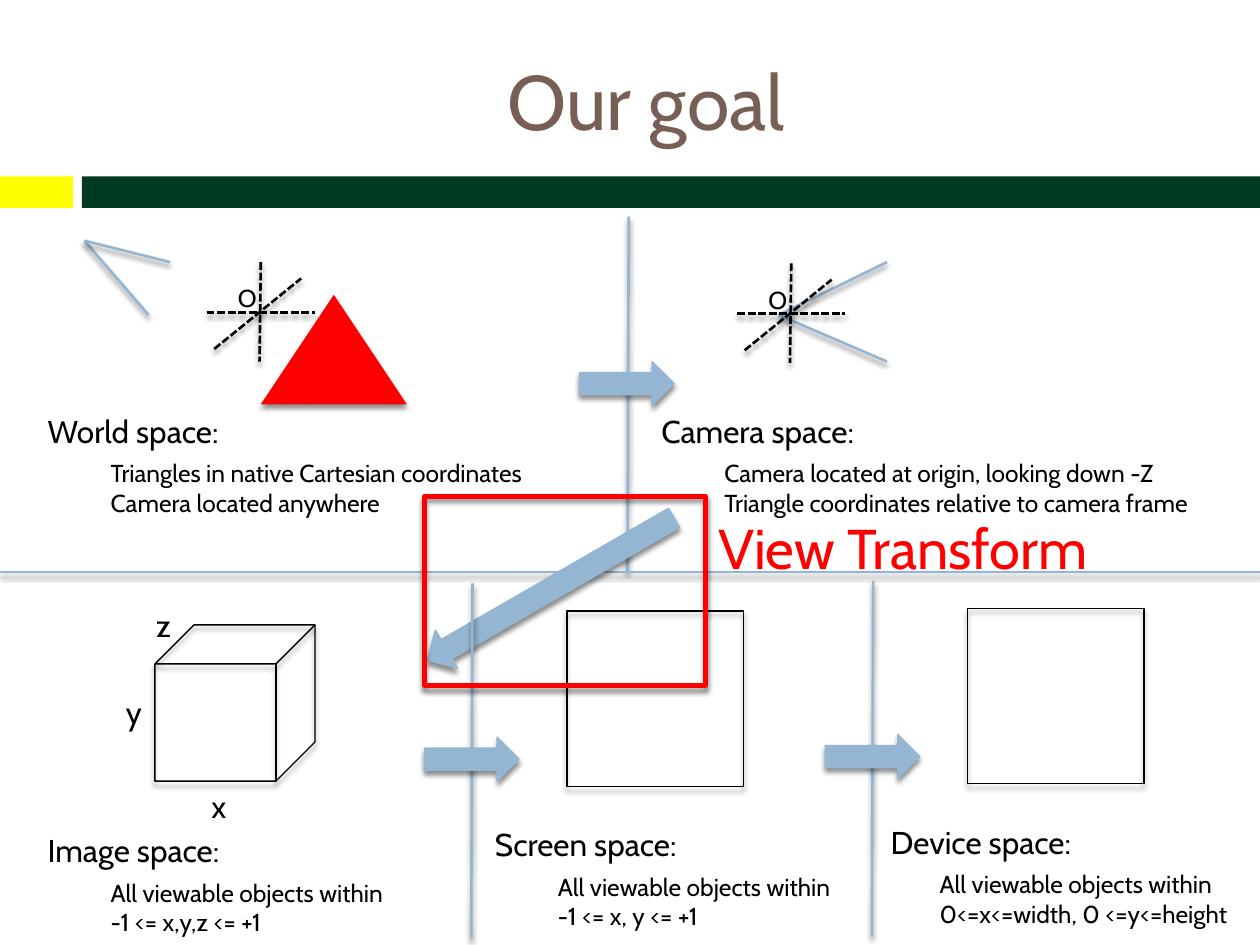
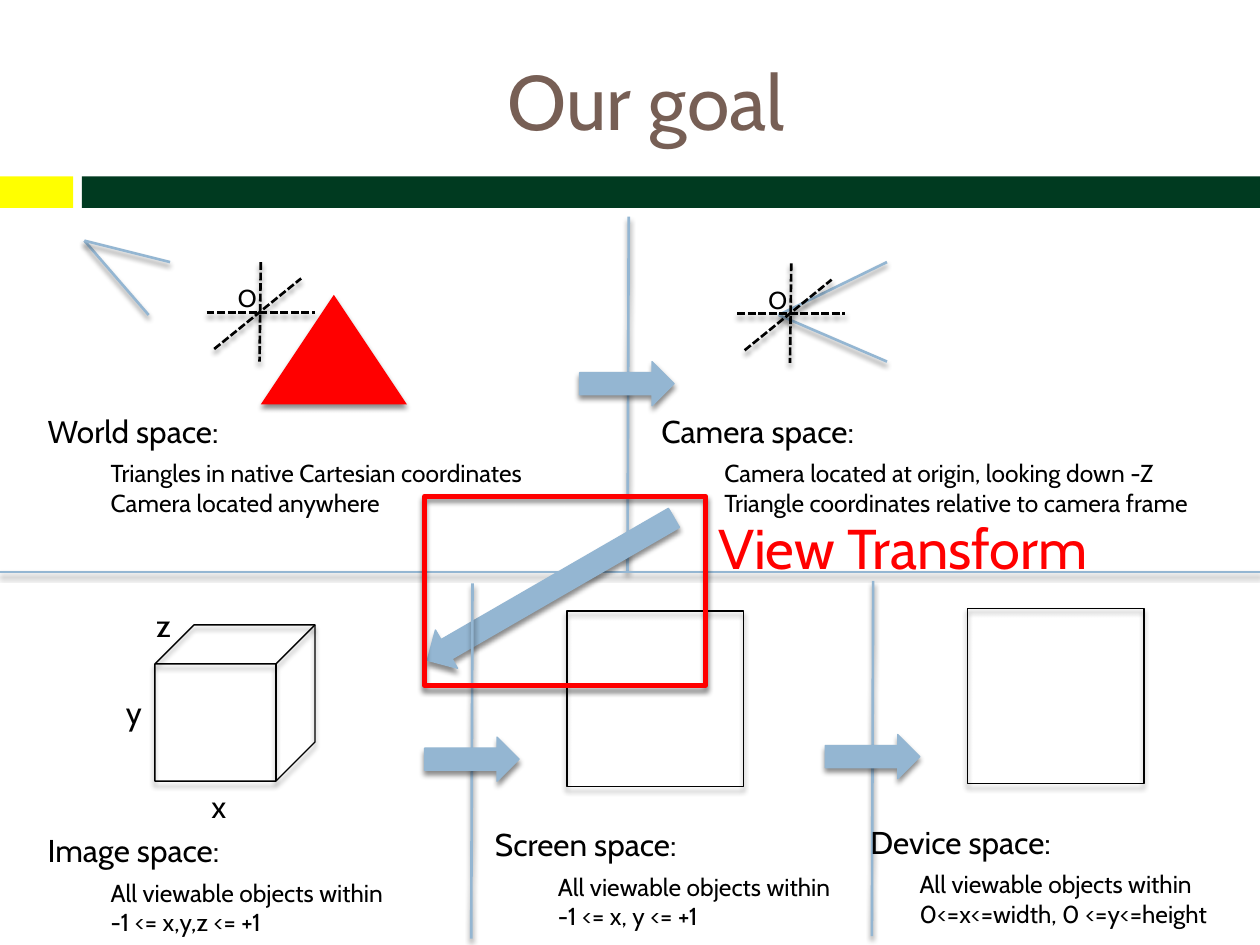
from lxml.etree import SubElement
from pptx import Presentation
from pptx.dml.color import RGBColor
from pptx.enum.dml import MSO_LINE_DASH_STYLE as Dash
from pptx.enum.shapes import MSO_CONNECTOR as Connector, MSO_SHAPE as Shape
from pptx.enum.text import MSO_ANCHOR as Anchor, PP_ALIGN as Align
from pptx.oxml.ns import qn
from pptx.util import Inches, Pt

FONT = "Cabin"
BLACK = RGBColor(0x00, 0x00, 0x00)
BLUE = RGBColor(0x94, 0xB6, 0xD2)
BROWN = RGBColor(0x77, 0x5F, 0x55)
GREEN = RGBColor(0x00, 0x3A, 0x20)
RED = RGBColor(0xFF, 0x00, 0x00)
YELLOW = RGBColor(0xFF, 0xFF, 0x00)

TITLE = "Our goal"
BANDS = [((0, 1.4, 0.58, 0.25), YELLOW), ((0.65, 1.4, 9.35, 0.25), GREEN)]

WORLD = ("World space:", "Triangles in native Cartesian coordinates", "Camera located anywhere")
CAMERA = ("Camera space:", "Camera located at origin, looking down -Z",
          "Triangle coordinates relative to camera frame")
IMAGE = ("Image space:", "All viewable objects within", "-1 <= x,y,z <= +1")
SCREEN = ("Screen space:", "All viewable objects within", "-1 <= x, y <= +1")
DEVICE = ("Device space:", "All viewable objects within", "0<=x<=width, 0 <=y<=height")
HIGHLIGHT = "View Transform"

# Each slide places the device caption in its own box: left, width
DEVICE_CAPTIONS = [(6.86, 3.18), (6.7, 3.33)]
DEVICE_HEADING_INDENT = 0.11

# Lines are (x1, y1, x2, y2)
WORLD_VIEW = [(0.67, 1.91, 1.18, 2.5), (0.67, 1.91, 1.35, 2.08)]
CAMERA_VIEW = [(6.18, 2.5, 7.04, 2.87), (6.18, 2.5, 7.04, 2.08)]
AXES = [(2.07, 2.08, 2.06, 2.87), (1.64, 2.48, 2.5, 2.48), (1.7, 2.77, 2.39, 2.21)]
ORIGIN_LABEL = (1.79, 2.2, 0.35, 0.34)
CAMERA_AXES_SHIFT = (4.21, 0.01)
CUBE_LABELS = {"x": (1.58, 6.2), "y": (0.9, 5.45), "z": (1.14, 4.76)}
DEVICE_SHIFT = (3.18, -0.02)
ARROW_SIZE = (0.75, 0.35)


def cast_shadow(item):
    """Replace the theme's effect with a soft shadow straight below."""
    effects = SubElement(item.element.spPr, qn("a:effectLst"))
    shadow = SubElement(effects, qn("a:outerShdw"), blurRad=str(Pt(3)), dist=str(Pt(2.4)),
                        dir="5400000", rotWithShape="0")
    color = SubElement(shadow, qn("a:srgbClr"), val="000000")
    SubElement(color, qn("a:alpha"), val="45000")


def add_line(slide, ends, color=BLUE, dash=None):
    line = slide.shapes.add_connector(Connector.STRAIGHT, *map(Inches, ends))
    line.line.color.rgb = color
    line.line.width = Pt(1.5)
    if dash:
        line.line.dash_style = dash
    cast_shadow(line)


def add_figure(slide, kind, box, fill=None, outline=None, weight=0.79, shadow=True, angle=0):
    figure = slide.shapes.add_shape(kind, *map(Inches, box))
    figure.rotation = angle
    if fill is None:
        figure.fill.background()
    else:
        figure.fill.solid()
        figure.fill.fore_color.rgb = fill
    if outline is None:
        figure.line.fill.background()
    else:
        figure.line.color.rgb = outline
        figure.line.width = Pt(weight)
    if shadow:
        cast_shadow(figure)
    else:
        figure.shadow.inherit = False


def set_font(paragraph, size, color):
    paragraph.font.name = FONT
    paragraph.font.size = Pt(size)
    paragraph.font.color.rgb = color


def add_label(slide, text, box, size, color=BLACK, wrap=True):
    frame = slide.shapes.add_textbox(*map(Inches, box)).text_frame
    frame.word_wrap = wrap
    frame.text = text
    set_font(frame.paragraphs[0], size, color)
    return frame


def add_caption(slide, lines, left, top, width, heading_indent=0):
    """Write a heading with its indented details below."""
    heading, *details = lines
    frame = add_label(slide, heading, (left, top, width, 0.94), 18)
    frame.paragraphs[0]._p.get_or_add_pPr().set("marL", str(Inches(heading_indent)))
    for i, detail in enumerate(details):
        paragraph = frame.add_paragraph()
        paragraph.text = detail
        paragraph._p.get_or_add_pPr().set("marL", str(Inches(0.5)))
        paragraph.space_before = Pt(0 if i else 5)
        set_font(paragraph, 14, BLACK)


def add_arrow(slide, left, top, size=ARROW_SIZE, angle=0):
    add_figure(slide, Shape.RIGHT_ARROW, (left, top, *size), BLUE, BLUE, angle=angle)


def add_axes(slide, dx=0, dy=0):
    for x1, y1, x2, y2 in AXES:
        add_line(slide, (x1 + dx, y1 + dy, x2 + dx, y2 + dy), BLACK, Dash.SQUARE_DOT)
    left, top, width, height = ORIGIN_LABEL
    add_label(slide, "O", (left + dx, top + dy, width, height), 14, wrap=False)


def add_flat_space(slide, dx=0, dy=0):
    """Draw the divider, arrow and square that screen and device space share."""
    add_line(slide, (3.75 + dx, 4.63 + dy, 3.74 + dx, 7.45 + dy))
    add_arrow(slide, 3.37 + dx, 5.85 + dy)
    add_figure(slide, Shape.RECTANGLE, (4.5 + dx, 4.85 + dy, 1.4, 1.39), outline=BLACK)


def add_title_and_bands(slide):
    for box, color in BANDS:
        add_figure(slide, Shape.RECTANGLE, box, color, shadow=False)
    frame = add_label(slide, TITLE, (0.67, 0.25, 8.92, 1.08), 44, BROWN)
    frame.vertical_anchor = Anchor.MIDDLE
    frame.paragraphs[0].alignment = Align.CENTER


def add_world_space(slide):
    add_figure(slide, Shape.ISOSCELES_TRIANGLE, (2.07, 2.34, 1.16, 0.87), RED)
    for ends in WORLD_VIEW:
        add_line(slide, ends)
    add_caption(slide, WORLD, 0.28, 3.22, 4.7)
    add_axes(slide)


def add_camera_space(slide):
    add_line(slide, (4.99, 1.72, 4.98, 4.54))
    add_caption(slide, CAMERA, 5.15, 3.22, 4.7)
    for ends in CAMERA_VIEW:
        add_line(slide, ends)
    add_axes(slide, *CAMERA_AXES_SHIFT)
    add_arrow(slide, 4.6, 2.87)


def add_image_space(slide):
    add_line(slide, (0, 4.54, 10, 4.54))
    add_caption(slide, IMAGE, 0.28, 6.55, 4.7)
    add_figure(slide, Shape.CUBE, (1.23, 4.96, 1.27, 1.24), outline=BLACK)
    for axis, corner in CUBE_LABELS.items():
        add_label(slide, axis, (*corner, 0.33, 0.4), 18)
    add_arrow(slide, 3.24, 4.5, (2.26, 0.35), angle=150)


def main():
    deck = Presentation()
    deck.slide_width, deck.slide_height = Inches(10), Inches(7.5)
    for device_left, device_width in DEVICE_CAPTIONS:
        slide = deck.slides.add_slide(deck.slide_layouts[6])
        add_title_and_bands(slide)
        add_world_space(slide)
        add_camera_space(slide)
        add_image_space(slide)
        add_flat_space(slide)
        add_caption(slide, SCREEN, 3.83, 6.5, 3.03)
        add_flat_space(slide, *DEVICE_SHIFT)
        add_caption(slide, DEVICE, device_left, 6.48, device_width, DEVICE_HEADING_INDENT)
        add_figure(slide, Shape.RECTANGLE, (3.37, 3.94, 2.23, 1.5), outline=RED, weight=3)
        add_label(slide, HIGHLIGHT, (5.6, 4.03, 3.31, 0.64), 32, RED, wrap=False)
    deck.save("out.pptx")


if __name__ == "__main__":
    main()
